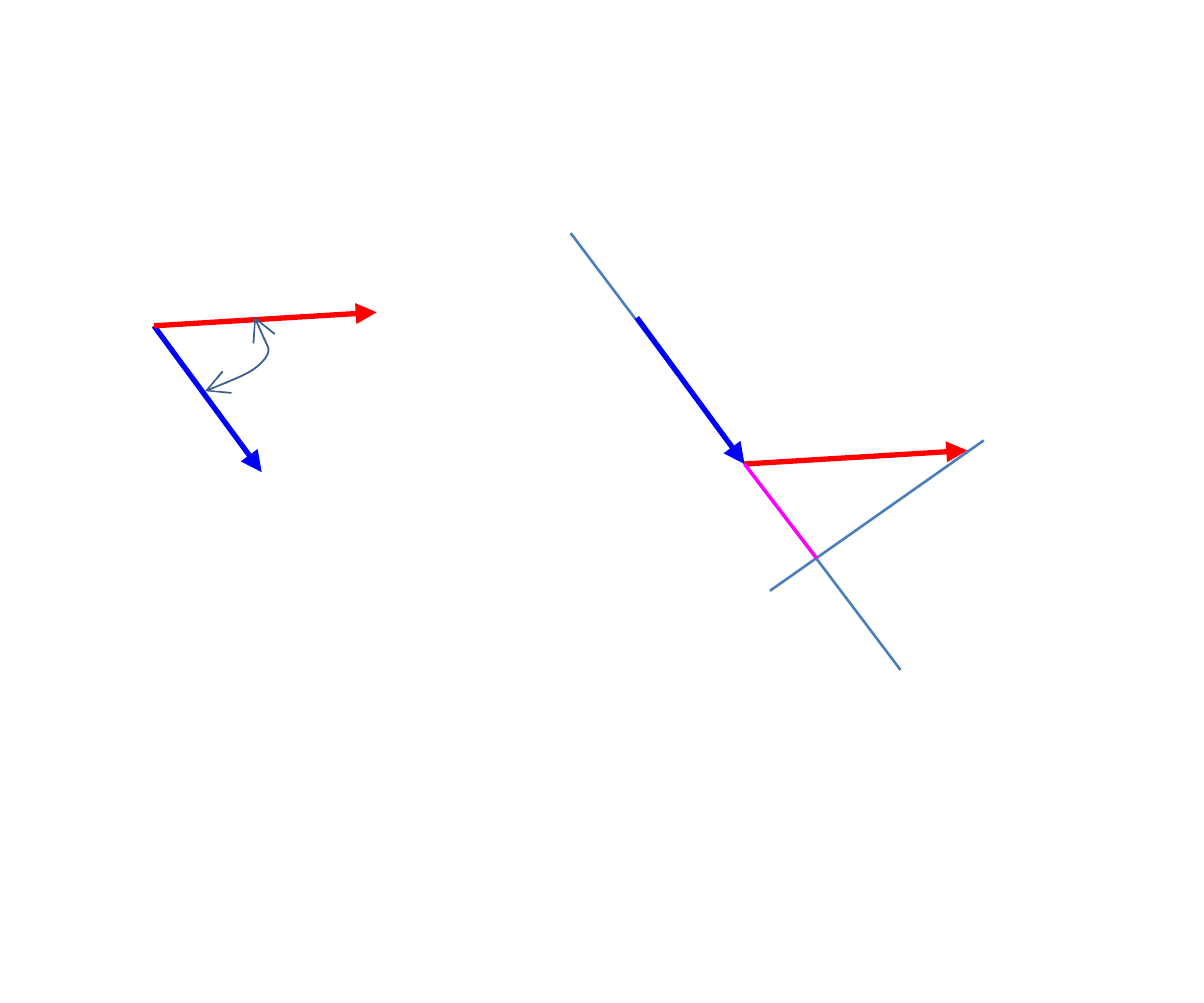
from lxml.etree import SubElement
from pptx import Presentation
from pptx.dml.color import RGBColor
from pptx.enum.shapes import MSO_CONNECTOR
from pptx.oxml.ns import qn
from pptx.util import Inches, Pt

COLORS = {"blue": "0000FF", "red": "FF0000", "magenta": "FF00FF",
          "guide": "4B7EBC", "angle": "3A5F8C"}
CELL = Inches(0.01)  # the slide is a grid of 473 columns by 394 rows

# The two vectors, as columns and rows from tail to tip
BLUE_VECTOR = (42.3, 57.5)
RED_VECTOR = (87.5, -5.3)


def add(point, offset):
    return point[0] + offset[0], point[1] + offset[1]


def to_emu(point):
    return [round(value * CELL) for value in point]


def style_line(shape, color, width, head=None, tail=None):
    shape.line.color.rgb = RGBColor.from_string(COLORS[color])
    shape.line.width = Pt(width)
    outline = shape.line._get_or_add_ln()
    for tag, kind in (("a:headEnd", head), ("a:tailEnd", tail)):
        if kind:
            SubElement(outline, qn(tag), type=kind)


def draw_line(page, start, end, color, width, tail=None):
    line = page.shapes.add_connector(
        MSO_CONNECTOR.STRAIGHT, *to_emu(start), *to_emu(end))
    style_line(line, color, width, tail=tail)
    SubElement(line._element.spPr, qn("a:effectLst"))


def draw_vector(page, start, vector, color):
    draw_line(page, start, add(start, vector), color, 1.5, "triangle")


def draw_angle_curve(page, origin):
    """Double-headed curve between the vectors; each bend is two controls and an end."""
    start = to_emu(add(origin, (20, 25.7)))
    bends = [[to_emu(add(origin, offset)) for offset in bend] for bend in (
        ((29.5, 22), (39.5, 18), (43.5, 13)),
        ((46.5, 9), (39.5, -3.5), (39.5, -3.5)))]
    builder = page.shapes.build_freeform(*start)
    builder.add_line_segments([bend[-1] for bend in bends], close=False)
    curve = builder.convert_to_shape()
    # Turn the straight segments into Bezier bends
    for segment, bend in zip(list(curve._element.iter(qn("a:lnTo"))), bends):
        bezier = segment.makeelement(qn("a:cubicBezTo"))
        for x, y in bend:
            SubElement(bezier, qn("a:pt"), x=str(x - curve.left), y=str(y - curve.top))
        segment.getparent().replace(segment, bezier)
    curve.fill.background()
    curve.shadow.inherit = False
    style_line(curve, "angle", 0.5, head="arrow", tail="arrow")


def draw_angle_diagram(page, origin):
    """Both vectors from one origin, with the angle between them."""
    draw_vector(page, origin, BLUE_VECTOR, "blue")
    draw_vector(page, origin, RED_VECTOR, "red")
    draw_angle_curve(page, origin)


def draw_projection_diagram(page, joint):
    """Red vector projected onto the line that carries the blue one."""
    foot = add(joint, (28.3, 37))
    draw_line(page, add(joint, (-68.3, -90.7)), add(joint, (61.3, 80.9)), "guide", 0.75)
    draw_vector(page, add(joint, (-BLUE_VECTOR[0], -BLUE_VECTOR[1])), BLUE_VECTOR, "blue")
    draw_vector(page, joint, RED_VECTOR, "red")
    draw_line(page, add(joint, (94, -9.3)), add(joint, (10, 49.8)), "guide", 0.75)
    draw_line(page, foot, joint, "magenta", 1)


def main():
    deck = Presentation()
    deck.slide_width, deck.slide_height = 473 * CELL, 394 * CELL
    page = deck.slides.add_slide(deck.slide_layouts[6])
    draw_angle_diagram(page, (60.5, 128))
    draw_projection_diagram(page, (292.5, 182.3))
    deck.save("out.pptx")


if __name__ == "__main__":
    main()
